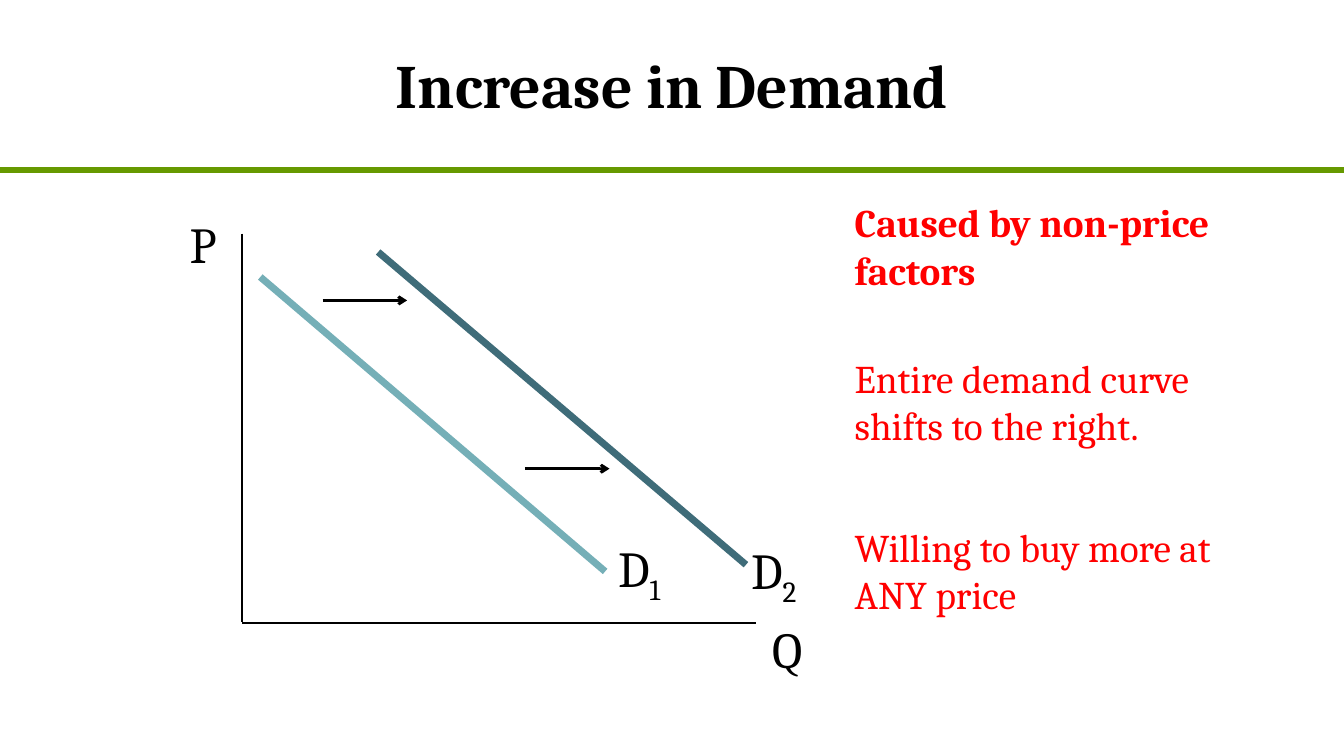
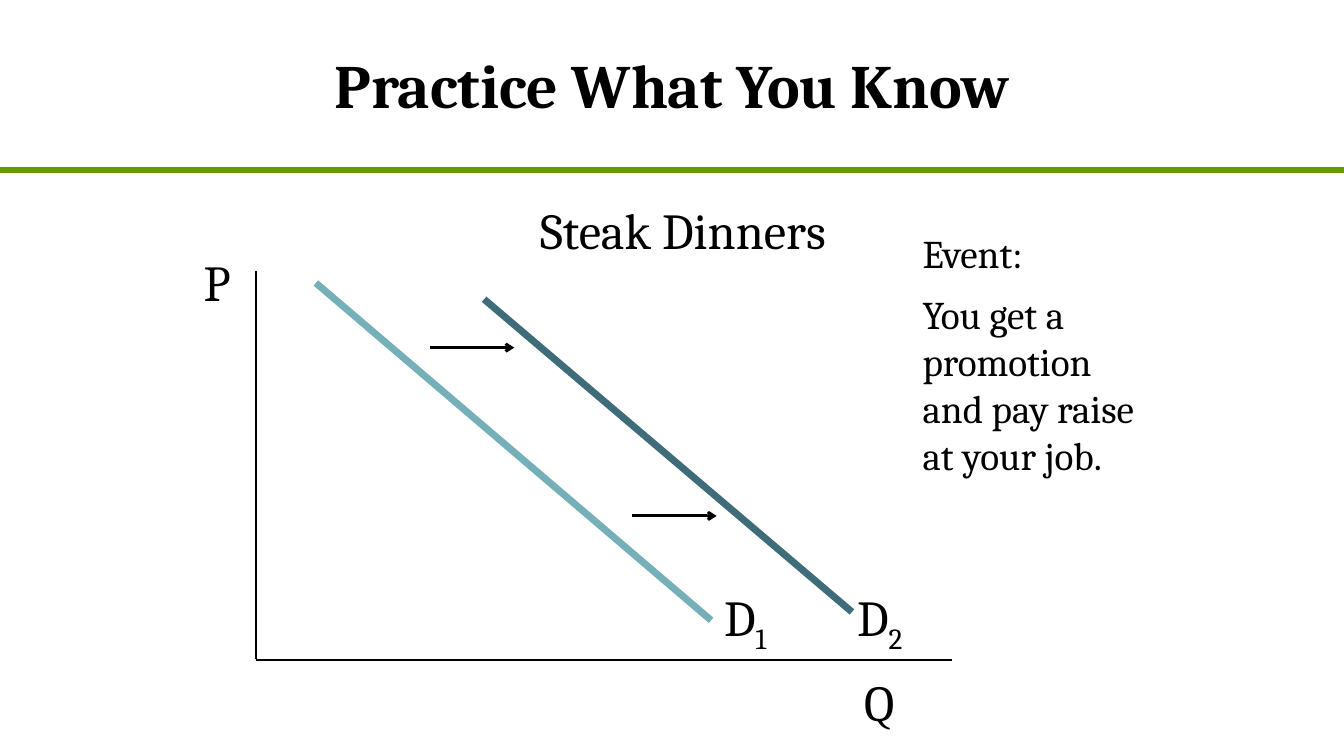
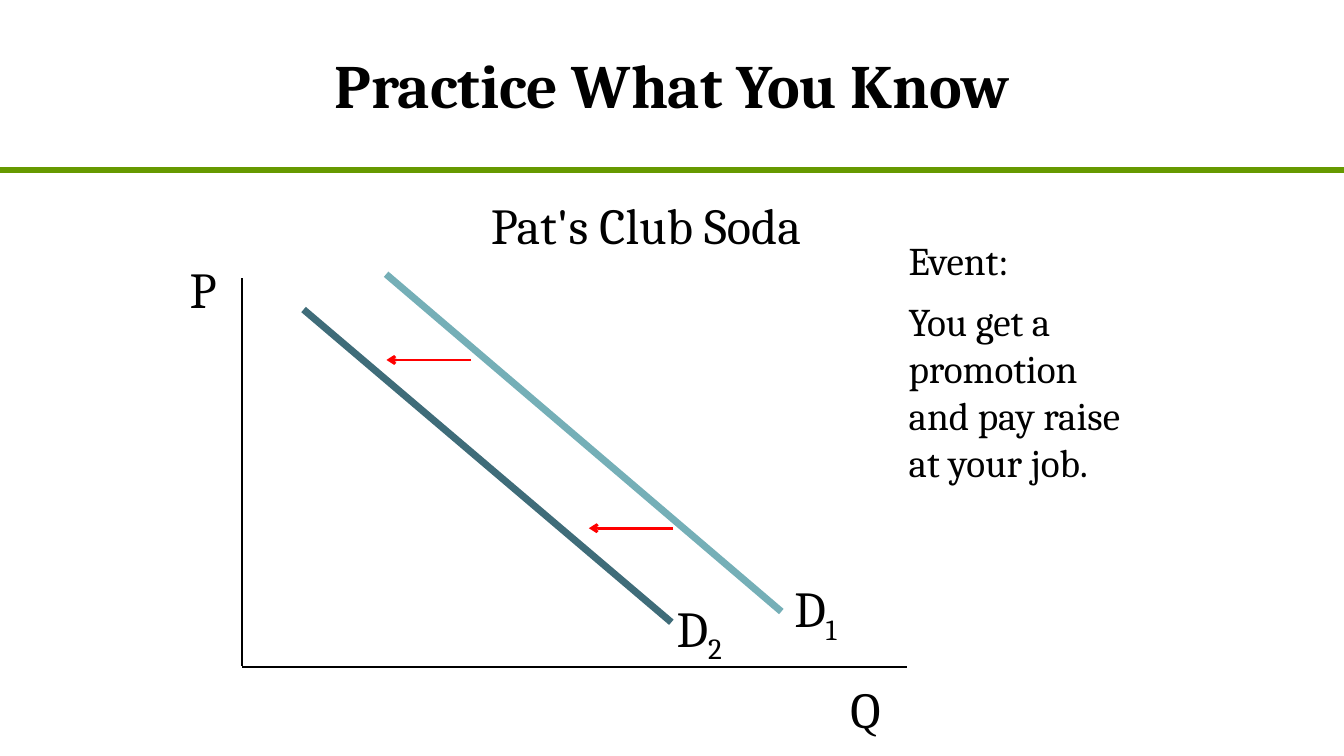
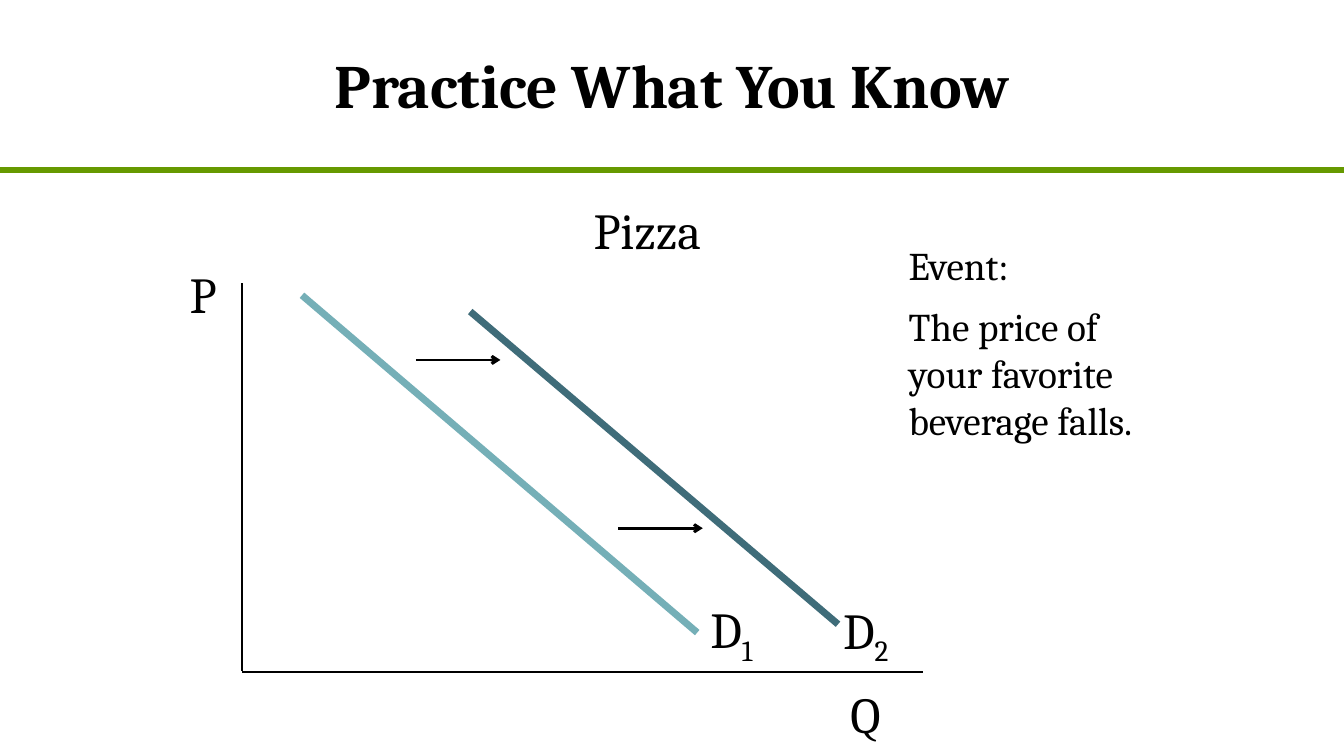
from pptx import Presentation, util as u
from pptx.dml.color import RGBColor
from pptx.enum import shapes, text
from pptx.oxml import ns
from lxml import etree

Cm, Pt = u.Cm, u.Pt
WIDTH, HEIGHT = 33.87, 19.05
FONT = "Cambria"
COLORS = {"ink": "000000", "band": "669900", "alert": "FF0000",
          "first": "75AFB7", "second": "3F6C79"}
TITLE = {"size": Pt(44), "bold": True}
LABEL = {"size": Pt(36)}
BODY = {"size": Pt(28)}
BODY_BOLD = {"size": Pt(28), "bold": True}
WIDE_INSETS, TIGHT_INSETS = (0.25, 0.13), (0.13, 0.05)

# Chart measures in cm, from the top of the price axis
AXIS_HEIGHT = 9.78
CURVE_SIZE = {"first": (9.96, 8.5), "second": (9.27, 7.88)}
LABEL_OFFSET = {"first": (0.2, -0.91), "second": (0, -0.69)}
ARROW_LENGTH, ARROW_STEP = 2.13, (5.1, 4.24)


def rgb(name):
    return RGBColor.from_string(COLORS[name])


def add_line(s, start, end, color, width, arrow=False):
    sp = s.shapes.add_connector(shapes.MSO_CONNECTOR.STRAIGHT,
                                *(Cm(v) for v in (*start, *end)))
    sp.line.color.rgb = rgb(color)
    sp.line.width = Pt(width)
    if arrow:
        etree.SubElement(sp.line._get_or_add_ln(), ns.qn("a:tailEnd"), type="arrow")
    etree.SubElement(sp._element.spPr, ns.qn("a:effectLst"))


def add_run(p, words, fmt, color):
    r = p.add_run()
    r.text = words
    r.font.name = FONT
    r.font.color.rgb = rgb(color)
    for name, value in fmt.items():
        setattr(r.font, name, value)
    return r


def add_text(s, box, paragraphs, color="ink", insets=WIDE_INSETS, **frame):
    """Place a text box; paragraphs are (words, font format, points after)."""
    tf = s.shapes.add_textbox(*(Cm(v) for v in box)).text_frame
    across, down = (Cm(v) for v in insets)
    settings = {"word_wrap": True, "margin_left": across, "margin_right": across,
                "margin_top": down, "margin_bottom": down, **frame}
    for name, value in settings.items():
        setattr(tf, name, value)
    for i, (words, fmt, after) in enumerate(paragraphs):
        p = tf.add_paragraph() if i else tf.paragraphs[0]
        p.space_after = Pt(after)
        add_run(p, words, fmt, color)
    return tf.paragraphs[0]


def add_slide(prs, title):
    s = prs.slides.add_slide(prs.slide_layouts[6])
    add_line(s, (0, 4.29), (WIDTH, 4.29), "band", 4.5)
    p = add_text(s, (5.51, 0, 22.86, 4.24), [(title, TITLE, 0)],
                 vertical_anchor=text.MSO_ANCHOR.MIDDLE)
    p.alignment = text.PP_ALIGN.CENTER
    return s


def add_label(s, x, y, words, subscript="", size=(1.55, 1.12)):
    p = add_text(s, (x, y, *size), [(words, LABEL, 10)], insets=TIGHT_INSETS)
    if subscript:
        r = add_run(p, subscript, LABEL, "ink")
        r._r.get_or_add_rPr().set("baseline", "-25000")


def add_curve(s, x, y, kind, subscript, size=None):
    w, h = size or CURVE_SIZE[kind]
    dx, dy = LABEL_OFFSET[kind]
    add_line(s, (x, y), (x + w, y + h), kind, 5)
    add_label(s, x + w + dx, y + h + dy, "D", subscript, (2.54, 1.75))


def add_demand_chart(s, origin, first, second, arrow, axis, quantity=(15.2, 10.03),
                     first_size=None, direction=1, arrow_color="ink"):
    """Draw axes, both demand curves and the two shift arrows from origin."""
    x, y = origin
    # Axes
    add_line(s, (x, y), (x, y + AXIS_HEIGHT), "ink", 2)
    add_line(s, (x, y + 9.8), (x + axis, y + 9.8), "ink", 1.5)
    add_label(s, x - 1.45, y - 0.56, "P")
    add_label(s, x + quantity[0], y + quantity[1], "Q")
    # Curves
    add_curve(s, x + first[0], y + first[1], "first", "1", first_size)
    add_curve(s, x + second[0], y + second[1], "second", "2")
    # Shift arrows
    for i in range(2):
        ax = x + arrow[0] + i * ARROW_STEP[0]
        ay = y + arrow[1] + i * ARROW_STEP[1]
        add_line(s, (ax, ay), (ax + direction * ARROW_LENGTH, ay), arrow_color, 2, True)


def add_practice_slide(prs, product, product_box, event, origin, **chart):
    s = add_slide(prs, "Practice What You Know")
    add_demand_chart(s, origin, **chart)
    x, y = origin
    add_text(s, (*product_box, 1.5), [(product, LABEL, 10)])
    add_text(s, (x + 16.55, y - 1.19, 6.2, 6.35),
             [("Event:", BODY, 10), (event, BODY, 10)])


def add_theory_slide(prs):
    s = add_slide(prs, "Increase in Demand")
    add_demand_chart(s, (6.1, 5.89), first=(0.46, 1.09), second=(3.43, 0.46),
                     arrow=(2.03, 1.68), axis=12.95, quantity=(13.23, 9.63),
                     first_size=(8.69, 7.42))
    add_text(s, (21.29, 4.88, 9.96, 13.26),
             [("Caused by non-price factors", BODY_BOLD, 43.6),
              ("Entire demand curve shifts to the right.", BODY, 53.6),
              ("Willing to buy more at ANY price", BODY, 10)], "alert")


def main():
    prs = Presentation()
    prs.slide_width, prs.slide_height = Cm(WIDTH), Cm(HEIGHT)
    promotion = "You get a promotion and pay raise at your job."
    rightward = {"first": (1.51, 0.3), "second": (5.75, 0.71), "arrow": (4.38, 1.93)}
    leftward = {"first": (3.63, -0.1), "second": (1.55, 0.79), "arrow": (5.77, 2.06),
                "direction": -1, "arrow_color": "alert"}

    add_theory_slide(prs)
    add_practice_slide(prs, "Steak Dinners", (13.36, 4.9, 8.05), promotion,
                       (6.45, 6.83), axis=17.55, **rightward)
    add_practice_slide(prs, "Pat's Club Soda", (12.12, 4.75, 9.14), promotion,
                       (6.1, 7.01), axis=16.76, **leftward)
    add_practice_slide(prs, "Pizza", (14.71, 4.9, 5.69),
                       "The price of your favorite beverage falls.",
                       (6.1, 7.14), axis=17.15, **rightward)
    prs.save("out.pptx")


if __name__ == "__main__":
    main()
